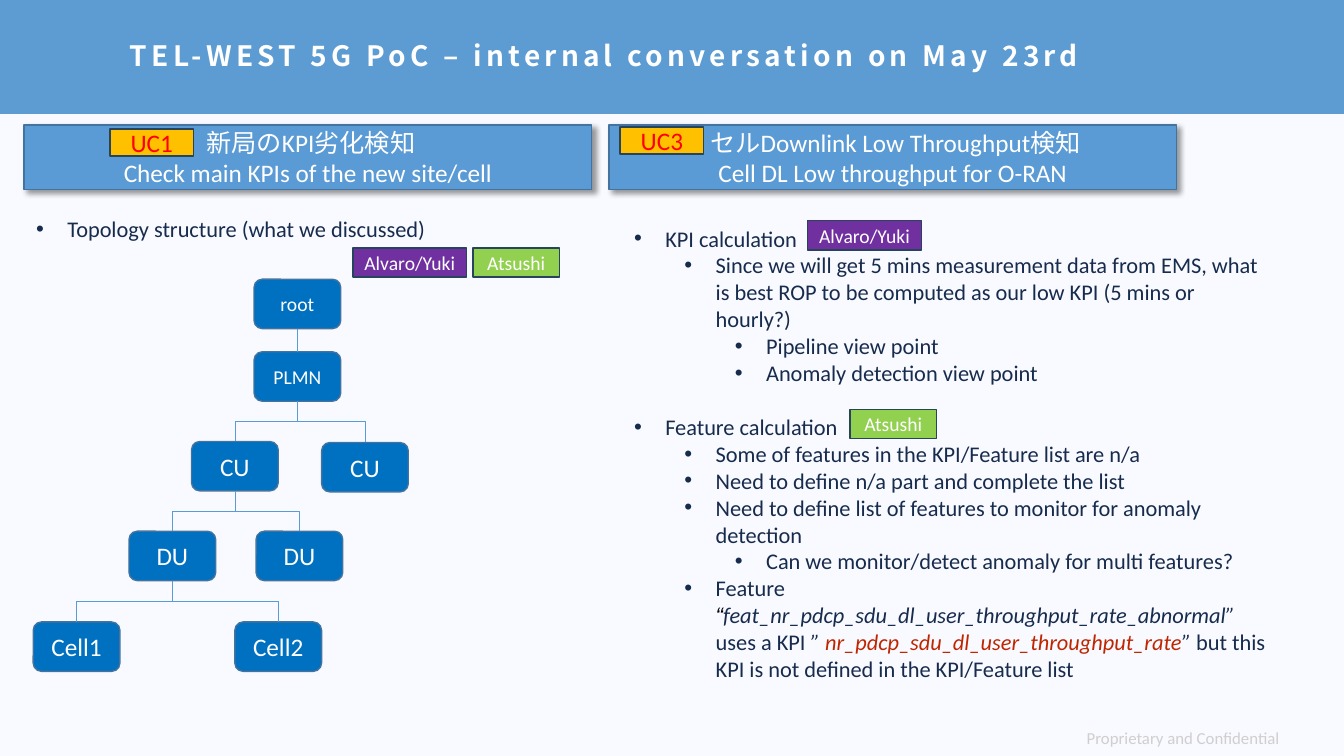
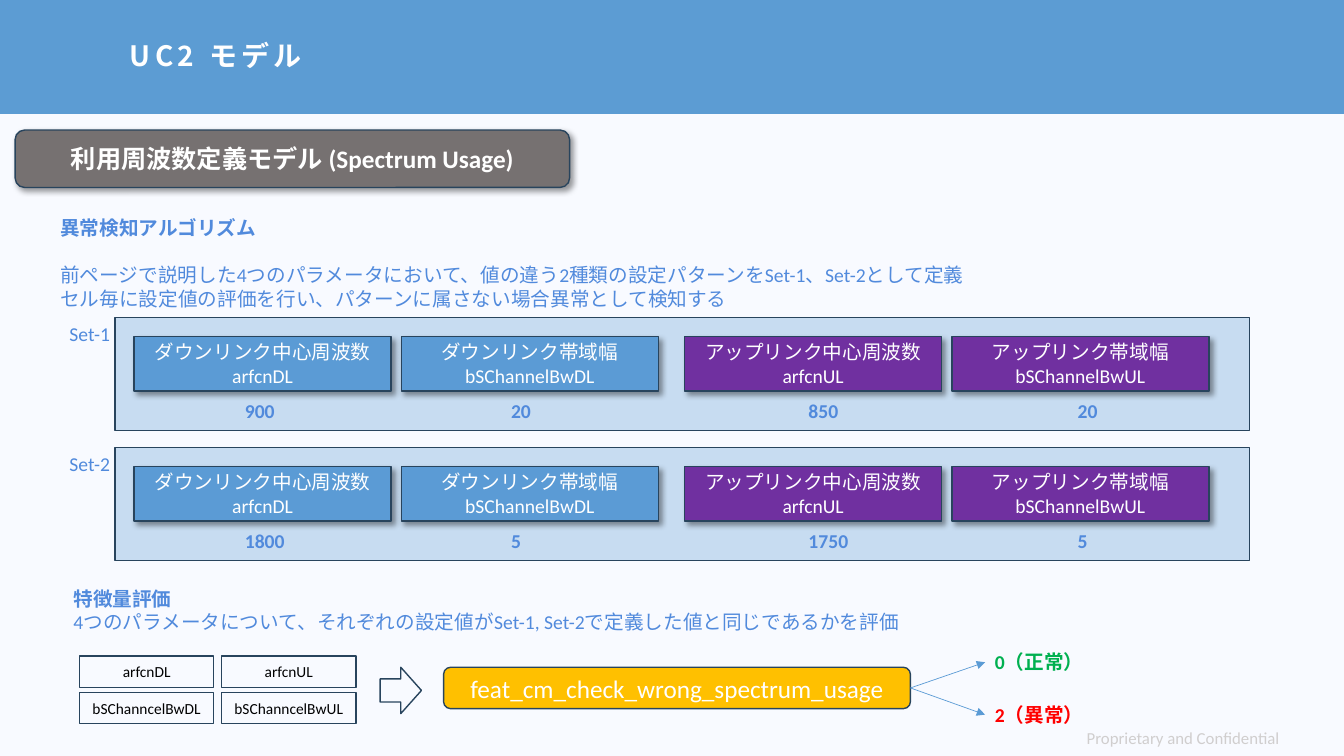
import dataclasses

import pptx
import pptx.dml.color
import pptx.enum.shapes
import pptx.enum.text
import pptx.oxml
import pptx.oxml.ns
import pptx.util
from lxml import etree

Inches = pptx.util.Inches
Pt = pptx.util.Pt
SHAPE = pptx.enum.shapes.MSO_SHAPE
CONNECTOR = pptx.enum.shapes.MSO_CONNECTOR
ALIGN = pptx.enum.text.PP_ALIGN
ANCHOR = pptx.enum.text.MSO_ANCHOR
qn = pptx.oxml.ns.qn


@dataclasses.dataclass(frozen=True)
class Theme:
    font: str = "Calibri"
    title_font: str = "Noto Sans CJK JP"
    background: str = "F8FAFF"
    band: str = "5C9CD3"
    blue: str = "5B9BD5"
    node: str = "0070C0"
    purple: str = "7030A0"
    lime: str = "92D050"
    amber: str = "FFC000"
    gray: str = "767171"
    edge: str = "28445D"
    soft_edge: str = "43739E"
    navy: str = "172B4D"
    note: str = "518ADC"
    footer: str = "D0CECE"
    white: str = "FFFFFF"
    black: str = "000000"
    red: str = "FF0000"
    brick: str = "BF2600"
    green: str = "00B050"
    title_size: int = 20
    large: int = 18
    body: int = 16
    small: int = 14
    footer_size: int = 12
    tiny: int = 11


THEME = Theme()


def rgb(value):
    return pptx.dml.color.RGBColor.from_string(value)


def set_font(font, size=None, color=None, bold=None, italic=None, name=None):
    if size:
        font.size = Pt(size)
    if color:
        font.color.rgb = rgb(color)
    if name:
        font.name = name
    if bold is not None:
        font.bold = bold
    if italic is not None:
        font.italic = italic


def write_lines(frame, lines, size, color, bold=False, align=ALIGN.LEFT, name=THEME.font):
    """Write one paragraph per line and return the paragraphs."""
    frame.word_wrap = True
    frame.text = "\n".join(lines)
    for paragraph in frame.paragraphs:
        paragraph.alignment = align
        set_font(paragraph.font, size, color, bold, name=name)
    return frame.paragraphs


def add_label(shapes, at, lines, size=THEME.small, color=THEME.note, bold=False):
    label = shapes.add_textbox(*map(Inches, at))
    write_lines(label.text_frame, lines, size, color, bold)
    return label


def add_shadow(shape):
    effects = shape._element.spPr.find(qn("a:effectLst"))
    shadow = etree.SubElement(effects, qn("a:outerShdw"), blurRad=str(Pt(4)), dist=str(Pt(3)),
                              dir="2700000", algn="tl", rotWithShape="0")
    color = etree.SubElement(shadow, qn("a:srgbClr"), val=THEME.black)
    etree.SubElement(color, qn("a:alpha"), val="40000")


def set_opacity(shape, percent):
    color = shape._element.spPr.find(qn("a:solidFill")).find(qn("a:srgbClr"))
    etree.SubElement(color, qn("a:alpha"), val=str(percent * 1000))


def add_box(shapes, at, lines=(), fill=None, edge=THEME.edge, size=THEME.large,
            color=THEME.white, bold=False, kind=SHAPE.RECTANGLE, shadow=False):
    box = shapes.add_shape(kind, *map(Inches, at))
    box.shadow.inherit = False
    if fill:
        box.fill.solid()
        box.fill.fore_color.rgb = rgb(fill)
    else:
        box.fill.background()
    if edge:
        box.line.color.rgb = rgb(edge)
        box.line.width = Pt(1)
    else:
        box.line.fill.background()
    if shadow:
        add_shadow(box)
    if lines:
        box.text_frame.vertical_anchor = ANCHOR.MIDDLE
        write_lines(box.text_frame, lines, size, color, bold, ALIGN.CENTER)
    return box


def join(shapes, kind, start, start_side, end, end_side):
    link = shapes.add_connector(kind, 0, 0, 0, 0)
    link.begin_connect(start, start_side)
    link.end_connect(end, end_side)
    link.line.color.rgb = rgb(THEME.blue)
    link.line.width = Pt(0.5)
    etree.SubElement(link._element.spPr, qn("a:effectLst"))
    return link


def join_branch(shapes, parent, child):
    """Join parent bottom to child top; a side branch leaves vertically."""
    start_x = parent.left + parent.width // 2
    end_x = child.left + child.width // 2
    if start_x == end_x:
        join(shapes, CONNECTOR.STRAIGHT, parent, 2, child, 0)
        return
    link = join(shapes, CONNECTOR.ELBOW, parent, 2, child, 0)
    start_y = parent.top + parent.height
    drop, spread = child.top - start_y, abs(end_x - start_x)
    link.left = (start_x + end_x - drop) // 2
    link.top = (start_y + child.top - spread) // 2
    link.width, link.height = drop, spread
    to_right = end_x > start_x
    xfrm = link._element.spPr.find(qn("a:xfrm"))
    xfrm.set("rot", "16200000" if to_right else "5400000")
    xfrm.set("flipH", "1" if to_right else "0")


def add_arrow(shapes, start, end):
    link = join(shapes, CONNECTOR.STRAIGHT, start, 3, end, 1)
    line = link._element.spPr.find(qn("a:ln"))
    etree.SubElement(line, qn("a:tailEnd"), type="triangle")


def add_outline(shapes, at, items):
    """Bulleted list of (level, space before, runs); a run is (text, font overrides)."""
    frame = shapes.add_textbox(*map(Inches, at)).text_frame
    frame.word_wrap = True
    for index, (level, space, runs) in enumerate(items):
        paragraph = frame.add_paragraph() if index else frame.paragraphs[0]
        paragraph.level = level
        props = paragraph._p.get_or_add_pPr()
        props.set("marL", str(Inches(0.31 + 0.5 * level)))
        props.set("indent", str(Inches(-0.31)))
        etree.SubElement(props, qn("a:buFont"), typeface="Arial")
        etree.SubElement(props, qn("a:buChar"), char="•")
        if space:
            paragraph.space_before = Pt(space)
        set_font(paragraph.font, THEME.body, THEME.navy, name=THEME.font)
        for text, overrides in runs:
            run = paragraph.add_run()
            run.text = text
            set_font(run.font, **overrides)


def bullet(level, text, space=0):
    return level, space, [(text, {})]


def add_slide(deck, title):
    slide = deck.slides.add_slide(deck.slide_layouts[6])
    slide.background.fill.solid()
    slide.background.fill.fore_color.rgb = rgb(THEME.background)
    add_box(slide.shapes, (0, 0, 13.33, 1.13), fill=THEME.band, edge=None)
    add_label(slide.shapes, (10.68, 7.17, 2.5, 0.3), ["Proprietary and Confidential"],
              THEME.footer_size, THEME.footer)
    heading = slide.shapes.add_textbox(*map(Inches, (1.19, 0.16, 11.8, 0.82))).text_frame
    heading.vertical_anchor = ANCHOR.MIDDLE
    for paragraph in write_lines(heading, [title], THEME.title_size, THEME.white, True,
                                 name=THEME.title_font):
        paragraph.line_spacing = 0.9
        paragraph.font._element.set("spc", "300")
    return slide.shapes


def add_topology(shapes):
    nodes = {}
    for key, text, left, top, size, parent in (
            ("root", "root", 2.52, 2.77, THEME.small, None),
            ("plmn", "PLMN", 2.52, 3.49, THEME.small, "root"),
            ("cu1", "CU", 1.9, 4.38, THEME.large, "plmn"),
            ("cu2", "CU", 3.19, 4.39, THEME.large, "plmn"),
            ("du1", "DU", 1.28, 5.27, THEME.large, "cu1"),
            ("du2", "DU", 2.54, 5.27, THEME.large, "cu1"),
            ("cell1", "Cell1", 0.33, 6.17, THEME.large, "du1"),
            ("cell2", "Cell2", 2.33, 6.17, THEME.large, "du1")):
        nodes[key] = add_box(shapes, (left, top, 0.86, 0.49), [text], THEME.node,
                             THEME.soft_edge, size, kind=SHAPE.ROUNDED_RECTANGLE)
        if parent:
            join_branch(shapes, nodes[parent], nodes[key])


def build_conversation(deck):
    shapes = add_slide(deck, "TEL-WEST 5G PoC – internal conversation on May 23rd")
    for left, lines, tag, tag_left, tag_top in (
            (0.24, [" 新局のKPI劣化検知", "Check main KPIs of the new site/cell"],
             "UC1", 1.09, 1.28),
            (6.04, [" セルDownlink Low Throughput検知", "Cell DL Low throughput for O-RAN"],
             "UC3", 6.15, 1.26)):
        add_box(shapes, (left, 1.24, 5.63, 0.64), lines, THEME.blue, THEME.soft_edge,
                shadow=True)
        add_box(shapes, (tag_left, tag_top, 0.83, 0.27), [tag], THEME.amber, color=THEME.red)

    add_outline(shapes, (0.26, 2.09, 7.81, 0.37),
                [bullet(0, "Topology structure (what we discussed)")])
    add_topology(shapes)

    italic = {"italic": True}
    add_outline(shapes, (6.19, 2.18, 6.55, 4.7), [
        bullet(0, "KPI calculation"),
        bullet(1, "Since we will get 5 mins measurement data from EMS, what is best ROP "
                  "to be computed as our low KPI (5 mins or hourly?)"),
        bullet(2, "Pipeline view point"),
        bullet(2, "Anomaly detection view point"),
        bullet(0, "Feature calculation", space=19.5),
        bullet(1, "Some of features in the KPI/Feature list are n/a"),
        bullet(1, "Need to define n/a part and complete the list"),
        bullet(1, "Need to define list of features to monitor for anomaly detection"),
        bullet(2, "Can we monitor/detect anomaly for multi features?"),
        (1, 0, [
            ("Feature ", {}),
            ("“", {"italic": True, "name": "Arial", "color": THEME.black}),
            ("feat_nr_pdcp_sdu_dl_user_throughput_rate_abnormal” ", italic),
            ("uses a KPI ", {}),
            ("” ", italic),
            ("nr_pdcp_sdu_dl_user_throughput_rate", {"italic": True, "color": THEME.brick}),
            ("”", italic),
            (" but this KPI is not defined in the KPI/Feature list", {})]),
    ])
    owners = {"Alvaro/Yuki": (1.13, THEME.purple), "Atsushi": (0.86, THEME.lime)}
    for owner, left, top in (("Atsushi", 8.43, 4.06), ("Alvaro/Yuki", 8.01, 2.19),
                             ("Alvaro/Yuki", 3.5, 2.46), ("Atsushi", 4.69, 2.46)):
        width, fill = owners[owner]
        add_box(shapes, (left, top, width, 0.29), [owner], fill, size=THEME.small)


def add_pattern(shapes, top, name, values):
    """One set of four parameters, each with its configured value below."""
    group = shapes.add_group_shape().shapes
    panel = add_box(group, (1.14, top, 11.25, 1.12), fill=THEME.blue)
    set_opacity(panel, 31)
    add_label(group, (0.59, top - 0.01, 0.78, 0.34), [name])
    parameters = (
        (1.33, 2.33, THEME.blue, ["ダウンリンク中心周波数", "arfcnDL"]),
        (3.98, 4.97, THEME.blue, ["ダウンリンク帯域幅", "bSChannelBwDL"]),
        (6.79, 7.92, THEME.purple, ["アップリンク中心周波数", "arfcnUL"]),
        (9.44, 10.59, THEME.purple, ["アップリンク帯域幅", "bSChannelBwUL"]))
    for (left, value_left, fill, lines), value in zip(parameters, values):
        add_box(group, (left, top + 0.19, 2.55, 0.54), lines, fill, size=THEME.small,
                shadow=True)
        add_label(group, (value_left, top + 0.76, 0.78, 0.34), [value], bold=True)


def build_model(deck):
    shapes = add_slide(deck, "UC2 モデル")
    add_box(shapes, (0.15, 1.29, 5.5, 0.57), ["利用周波数定義モデル (Spectrum Usage)"],
            THEME.gray, bold=True, kind=SHAPE.ROUNDED_RECTANGLE, shadow=True)
    algorithm = add_label(shapes, (0.5, 2.09, 12.49, 1.04), [
        "異常検知アルゴリズム",
        "前ページで説明した4つのパラメータにおいて、値の違う2種類の設定パターンをSet-1、Set-2として定義",
        "セル毎に設定値の評価を行い、パターンに属さない場合異常として検知する"])
    algorithm.text_frame.paragraphs[0].font.bold = True
    algorithm.text_frame.paragraphs[1].space_before = Pt(17)

    add_pattern(shapes, 3.15, "Set-1", ("900", "20", "850", "20"))
    add_pattern(shapes, 4.44, "Set-2", ("1800", "5", "1750", "5"))

    evaluation = add_label(shapes, (0.63, 5.77, 9.22, 0.57), [
        "特徴量評価",
        "4つのパラメータについて、それぞれの設定値がSet-1, Set-2で定義した値と同じであるかを評価"])
    evaluation.text_frame.paragraphs[0].font.bold = True

    inputs = (("arfcnDL", "arfcnUL"), ("bSChanncelBwDL", "bSChanncelBwUL"))
    for row, names in enumerate(inputs):
        for column, name in enumerate(names):
            add_box(shapes, (0.79 + 1.41 * column, 6.51 + 0.36 * row, 1.33, 0.31), [name],
                    size=THEME.tiny, color=THEME.black)
    add_box(shapes, (3.77, 6.62, 0.41, 0.46), kind=SHAPE.RIGHT_ARROW)
    feature = add_box(shapes, (4.4, 6.62, 4.63, 0.41), ["feat_cm_check_wrong_spectrum_usage"],
                      THEME.amber, kind=SHAPE.ROUNDED_RECTANGLE)
    for top, result, color in ((6.4, "0（正常）", THEME.green), (6.92, "2（異常）", THEME.red)):
        outcome = add_label(shapes, (9.77, top, 1.3, 0.34), [result], color=color, bold=True)
        add_arrow(shapes, feature, outcome)


def main():
    deck = pptx.Presentation()
    deck.slide_width, deck.slide_height = Inches(13.33), Inches(7.5)
    build_conversation(deck)
    build_model(deck)
    deck.save("out.pptx")


if __name__ == "__main__":
    main()
